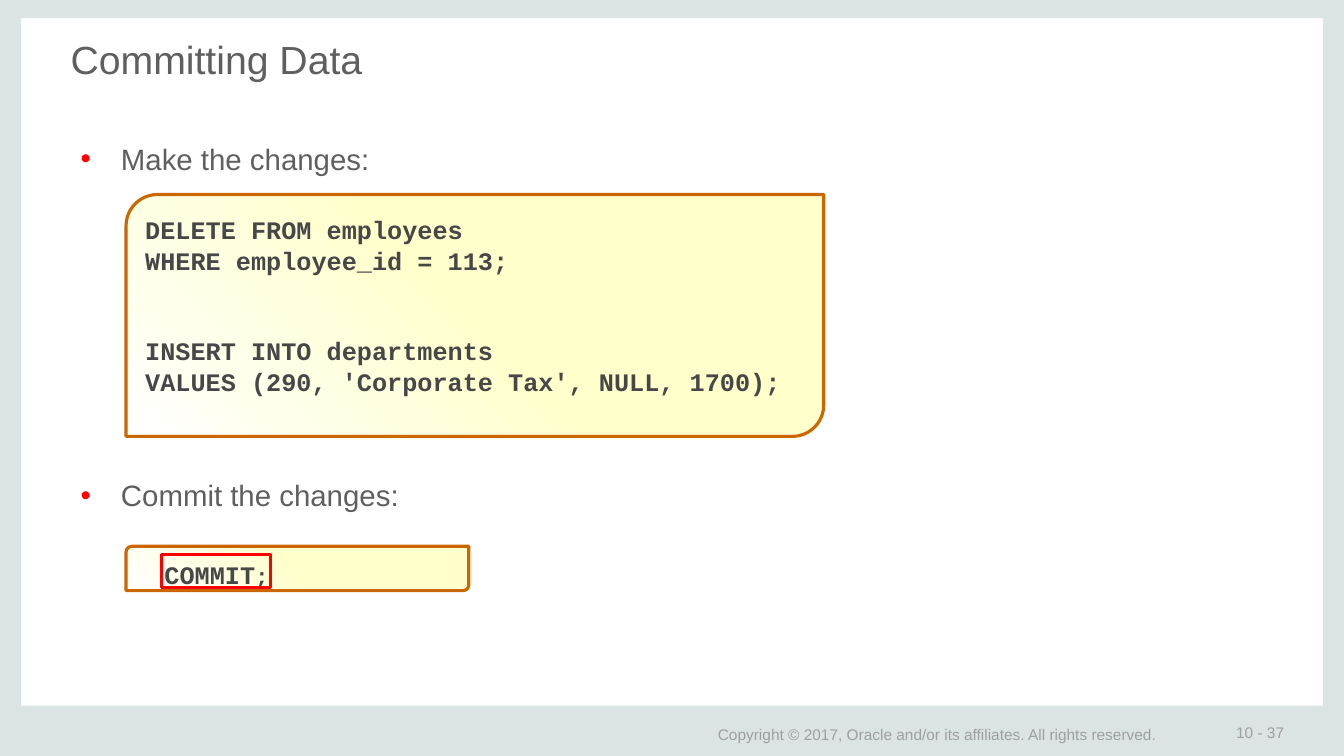
from copy import deepcopy
from dataclasses import dataclass

from lxml import etree
from pptx import Presentation
from pptx import util as u
from pptx.dml import color
from pptx.enum import shapes, text
from pptx.oxml import ns


@dataclass(frozen=True)
class Theme:
    band: str = "DCE3E4"
    gray: str = "5F5F5F"
    foot: str = "9F9F9F"
    ink: str = "474747"
    cream: str = "FFFFCC"
    white: str = "FFFFFF"
    edge: str = "CC6600"
    red: str = "FF0000"
    sans: str = "Arial"
    mono: str = "Courier New"
    title: int = 28
    body: int = 21
    code: int = 18
    small: int = 16
    note: int = 11
    rule: float = 2.25


T = Theme()


def rgb(tone):
    return color.RGBColor.from_string(tone)


def style(font, face, size, tone, bold=False):
    font.name, font.size, font.bold = face, u.Pt(size), bold
    font.color.rgb = rgb(tone)


def inset(frame, left, top, right, bottom):
    frame.margin_left, frame.margin_top = u.Inches(left), u.Inches(top)
    frame.margin_right, frame.margin_bottom = u.Inches(right), u.Inches(bottom)
    frame.word_wrap = True


def add_shape(slide, kind, box, fill=None, line=None):
    shape = slide.shapes.add_shape(kind, *map(u.Inches, box))
    shape.shadow.inherit = False
    if fill:
        shape.fill.solid()
        shape.fill.fore_color.rgb = rgb(fill)
    else:
        shape.fill.background()
    if line:
        shape.line.color.rgb = rgb(line)
        shape.line.width = u.Pt(T.rule)
    else:
        shape.line.fill.background()
    return shape


def add_title(slide, words):
    title = slide.shapes.title
    title.left, title.top = u.Inches(0.68), u.Inches(0.33)
    title.width, title.height = u.Inches(11.97), u.Inches(0.96)
    frame = title.text_frame
    inset(frame, 0.02, 0.02, 0.02, 0.02)
    frame.vertical_anchor = text.MSO_ANCHOR.TOP
    frame.text = words
    para = frame.paragraphs[0]
    para.alignment = text.PP_ALIGN.LEFT
    style(para.font, T.sans, T.title, T.gray)


def add_note(slide, box, words):
    frame = slide.shapes.add_textbox(*map(u.Inches, box)).text_frame
    inset(frame, 0.13, 0, 0.13, 0)
    frame.vertical_anchor = text.MSO_ANCHOR.MIDDLE
    frame.text = words
    style(frame.paragraphs[0].font, T.sans, T.note, T.foot)


def add_list(slide, box, items, gap):
    frame = slide.shapes.add_textbox(*map(u.Inches, box)).text_frame
    inset(frame, 0.02, 0.02, 0.02, 0.02)
    frame.text = "\n".join(items)
    for i, para in enumerate(frame.paragraphs):
        props = para._p.get_or_add_pPr()
        props.set("marL", str(u.Inches(0.5)))
        props.set("indent", str(u.Inches(-0.4)))
        tint = etree.SubElement(props, ns.qn("a:buClr"))
        etree.SubElement(tint, ns.qn("a:srgbClr"), val=T.red)
        etree.SubElement(props, ns.qn("a:buFont"), typeface=T.sans)
        etree.SubElement(props, ns.qn("a:buChar"), char="•")
        if i:
            para.space_before = u.Pt(gap)
        style(para.font, T.sans, T.body, T.gray)


def add_panel(slide, box):
    panel = add_shape(slide, shapes.MSO_SHAPE.ROUND_2_DIAG_RECTANGLE, box, line=T.edge)
    panel.adjustments[0], panel.adjustments[1] = 0.13, 0
    fill = panel.fill
    fill.gradient()
    fill.gradient_angle = 225
    stop = panel._element.spPr.find(".//" + ns.qn("a:gs"))
    stop.addnext(deepcopy(stop))
    for stop, place, tone in zip(fill.gradient_stops, (0, 0.5, 1), (T.cream, T.cream, T.white)):
        stop.position = place
        stop.color.rgb = rgb(tone)
    frame = panel.text_frame
    inset(frame, 0.1, 0.11, 0.01, 0)
    frame.vertical_anchor = text.MSO_ANCHOR.TOP
    return frame


def add_code(slide, box, blocks):
    frame = add_panel(slide, box)
    frame.text = "\n".join("\n".join(block) for block in blocks)
    starts = {sum(map(len, blocks[:i])) for i in range(1, len(blocks))}
    pitch = 1.2 * T.code
    for i, para in enumerate(frame.paragraphs):
        para.alignment = text.PP_ALIGN.LEFT
        para.line_spacing = u.Pt(pitch)
        if i in starts:
            para.space_before = u.Pt(2 * pitch)
        style(para.font, T.mono, T.code, T.ink, True)


def add_commit(slide, box):
    para = add_panel(slide, box).paragraphs[0]
    para.alignment = text.PP_ALIGN.LEFT
    para.line_spacing = u.Pt(1.2 * T.code)
    for words, size in (("  ", T.small), ("COMMIT", T.code), (";", T.small)):
        run = para.add_run()
        run.text = words
        style(run.font, T.mono, size, T.ink, True)


def main():
    deck = Presentation()
    deck.slide_width, deck.slide_height = u.Inches(13.33), u.Inches(7.5)
    slide = deck.slides.add_slide(deck.slide_layouts[5])
    rect = shapes.MSO_SHAPE.RECTANGLE
    for box in (
        (13.12, -0.03, 0.21, 7.5),
        (0, -0.03, 0.21, 7.5),
        (0, 7, 13.33, 0.5),
        (0, -0.03, 13.33, 0.21),
    ):
        add_shape(slide, rect, box, fill=T.band)
    add_note(slide, (12.13, 7.17, 1.18, 0.2), "10 - 37")
    add_note(
        slide,
        (6.99, 7.17, 5.34, 0.22),
        "Copyright © 2017, Oracle and/or its affiliates. All rights reserved.",
    )
    add_title(slide, "Committing Data")
    add_list(slide, (0.68, 1.38, 11.97, 4), ("Make the changes:", "Commit the changes:"), 215)
    add_commit(slide, (1.25, 5.42, 3.4, 0.44))
    add_code(
        slide,
        (1.25, 1.93, 6.92, 2.4),
        (
            ("DELETE FROM employees", "WHERE employee_id = 113;"),
            ("INSERT INTO departments", "VALUES (290, 'Corporate Tax', NULL, 1700);"),
        ),
    )
    add_shape(slide, rect, (1.6, 5.5, 1.08, 0.33), line=T.red)
    deck.save("out.pptx")


if __name__ == "__main__":
    main()
